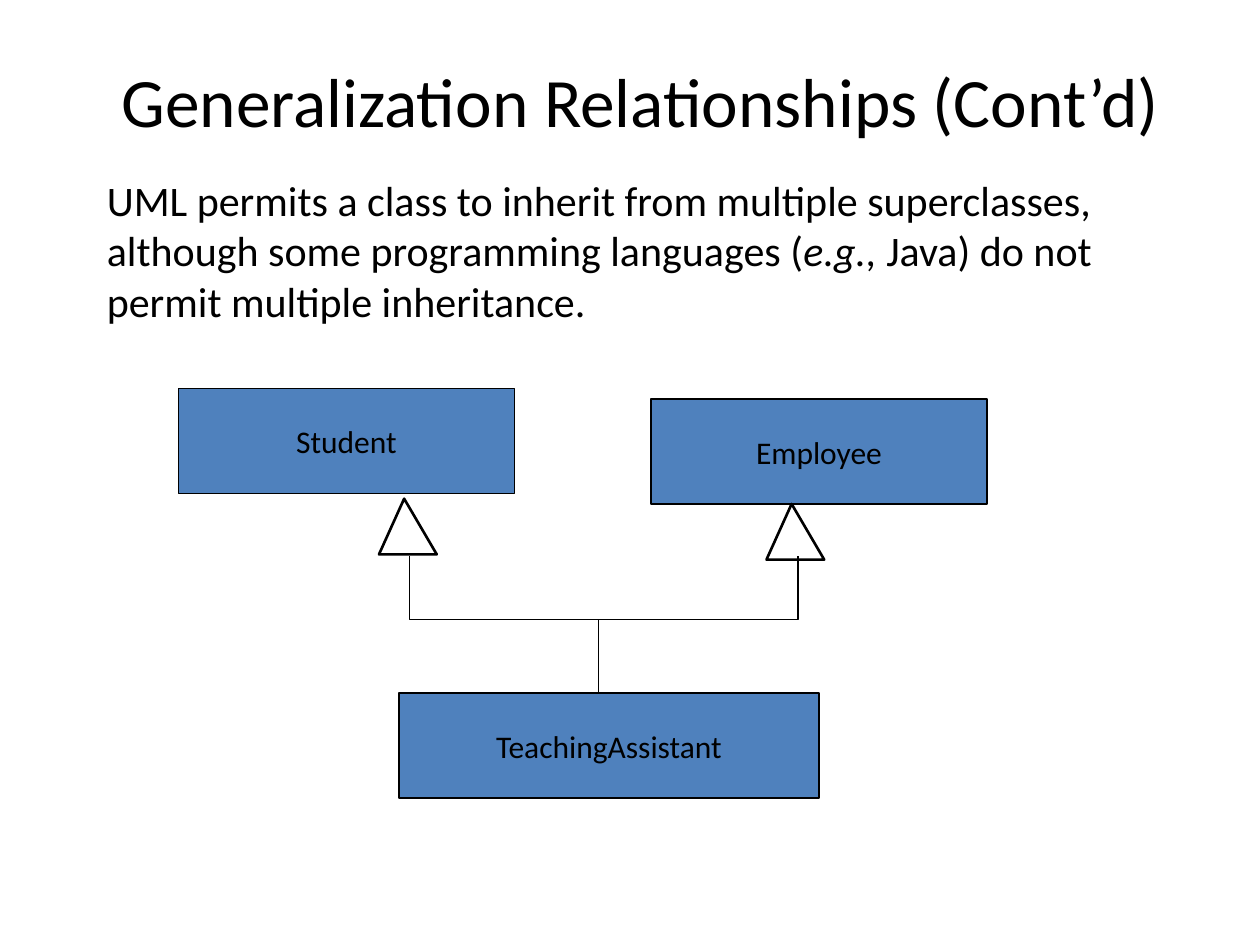
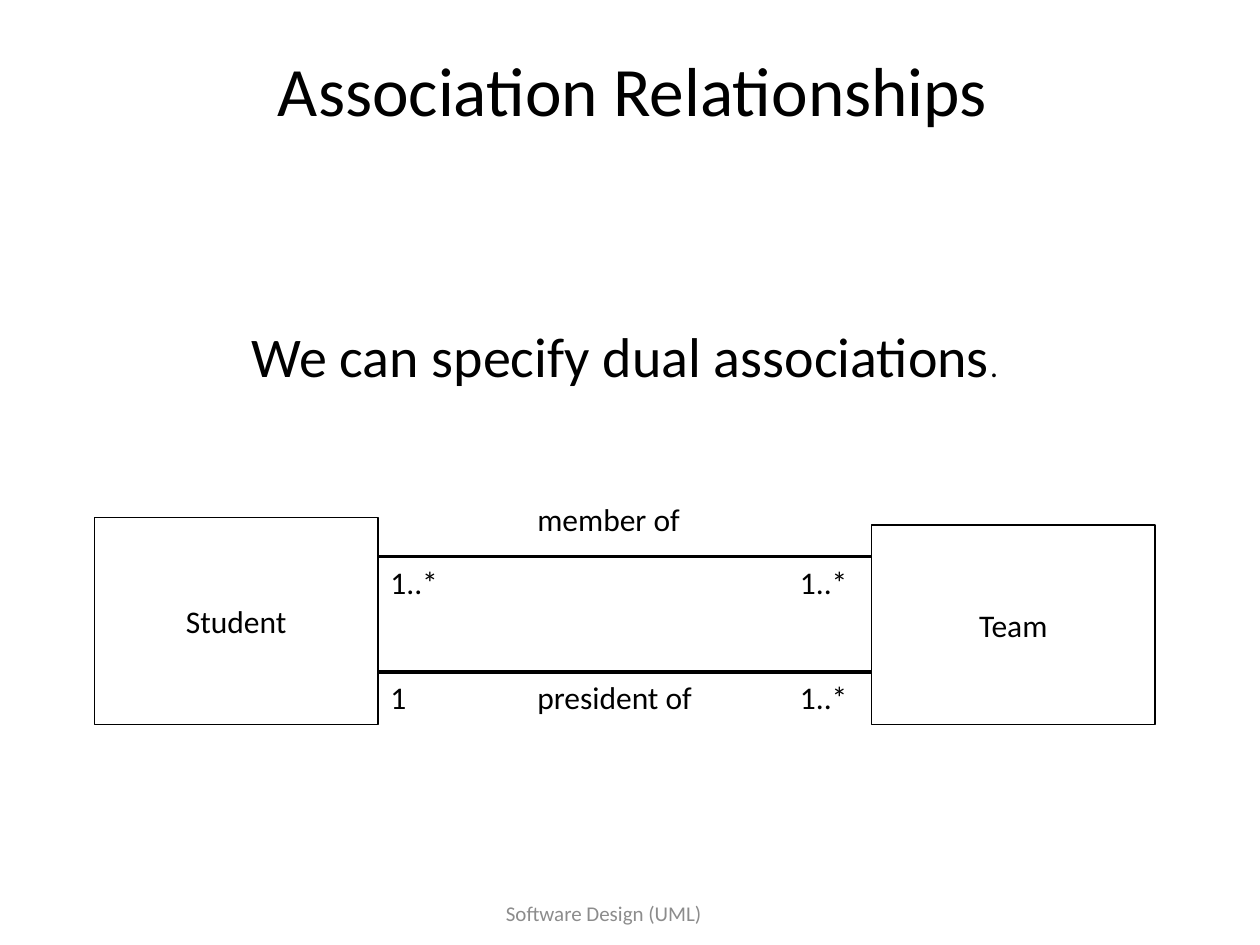
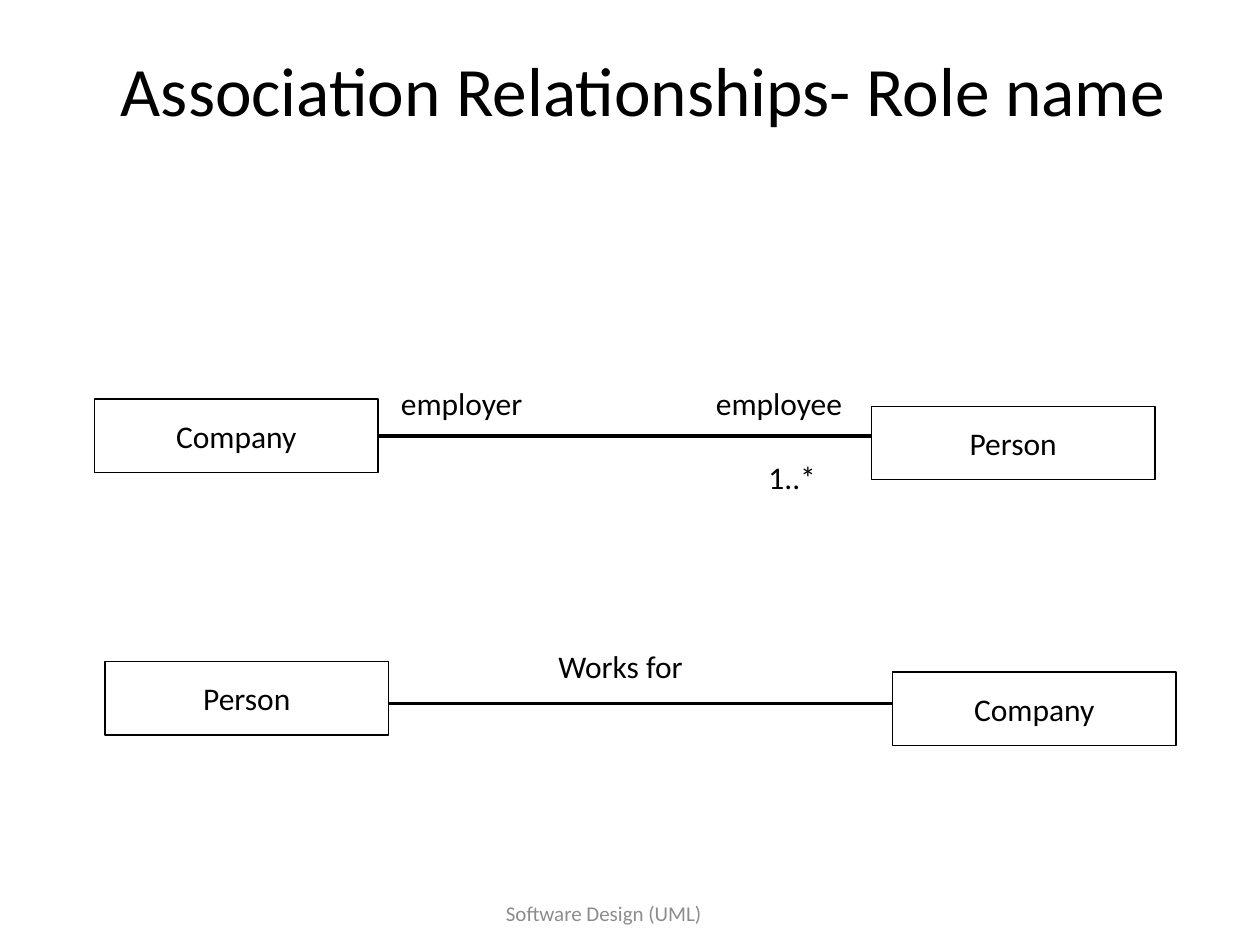
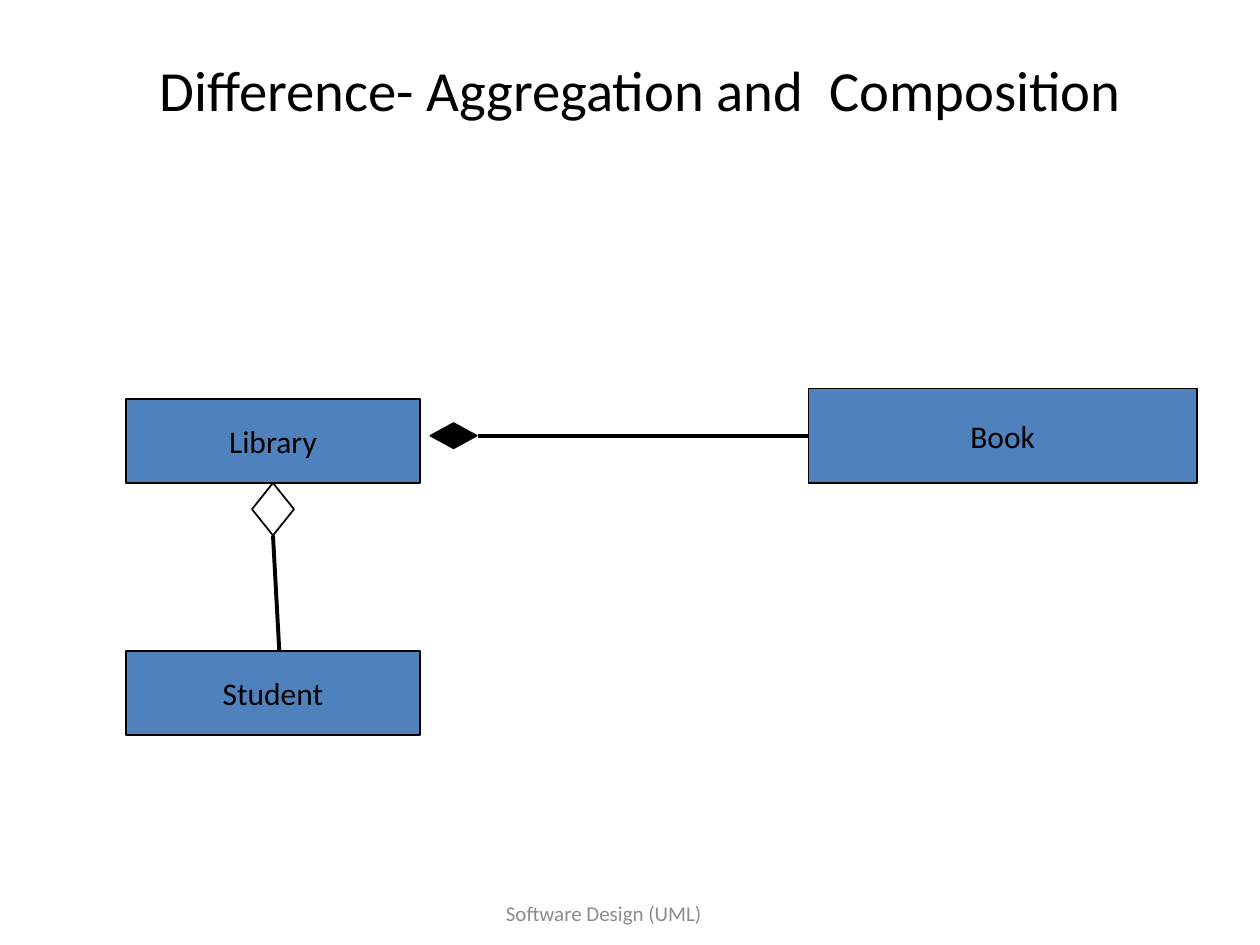
from lxml import etree
from pptx import Presentation
from pptx.dml.color import RGBColor
from pptx.enum.shapes import MSO_CONNECTOR, MSO_SHAPE
from pptx.enum.text import MSO_ANCHOR, MSO_AUTO_SIZE, PP_ALIGN
from pptx.oxml.ns import qn
from pptx.util import Emu, Pt

RECTANGLE, STRAIGHT = MSO_SHAPE.RECTANGLE, MSO_CONNECTOR.STRAIGHT
LEFT, CENTER = PP_ALIGN.LEFT, PP_ALIGN.CENTER
TOP, MIDDLE = MSO_ANCHOR.TOP, MSO_ANCHOR.MIDDLE
FIXED, GROW = MSO_AUTO_SIZE.NONE, MSO_AUTO_SIZE.SHAPE_TO_FIT_TEXT

# Shared look; 120 px to the inch
PX = 7620
SLIDE_SIZE = (1200, 900)
FONT = "Calibri"
BLACK, WHITE, BLUE, GREY = "000000", "FFFFFF", "4F81BD", "8C8C8C"
TITLE_SIZE, TEXT_SIZE, FOOTER_SIZE = 39.6, 18, 12
FOOTER = "Software Design (UML)"
FOOTER_AT = (310, 840, 530, 60)


# Outlines of the relationship ends
def triangle(x, y):
    """Generalization arrowhead with its apex at x, y."""
    return [(x, y), (x - 24, y + 53), (x + 31, y + 53)]


def diamond(x, y, half_width, half_height):
    """Aggregation or composition mark centred at x, y."""
    return [(x - half_width, y), (x, y - half_height),
            (x + half_width, y), (x, y + half_height)]


# Content. statement: runs (text, size, italic), place, alignment
# classes: name, place; labels: text, place
# links: from, to, width, (class, side) joined at from, at to
# outlines: points, fill (None leaves the path open), line width
SLIDES = [
    {
        "title": "Generalization Relationships (Cont’d)",
        "title_at": (0, 60, 1220, 70),
        "statement": (
            [("UML permits a class to inherit from multiple superclasses, "
              "although some programming languages (", 24, False),
             ("e.g.,", 24, True),
             (" Java) do not permit multiple inheritance.", 24, False)],
            (90, 160, 1070, 157), LEFT),
        "class_fill": BLUE,
        "classes": [("Student", (170, 370, 320, 100)),
                    ("TeachingAssistant", (380, 660, 400, 100)),
                    ("Employee", (620, 380, 320, 100))],
        "links": [((570, 590), (570, 660), 1, None, None)],
        "outlines": [
            (triangle(385, 475), WHITE, 1.5),
            (triangle(754, 480), WHITE, 1.5),
            ([(390, 530), (390, 590), (760, 590), (760, 530)], None, 1)],
    },
    {
        "title": "Association Relationships ",
        "title_at": (80, 50, 1060, 70),
        "footer": True,
        "statement": ([("We can specify dual associations", 32, False),
                       (".", 18, False)],
                      (80, 300, 1030, 77), CENTER),
        "class_fill": WHITE,
        "classes": [("Team", (830, 500, 270, 190)),
                    ("Student", (90, 493, 270, 197))],
        "links": [((360, y), (830, y), 2.25, None, None)
                  for y in (530, 640)],
        "labels": [("member of", (500, 470, 230, 60)),
                   ("1..*", (360, 530, 90, 60)),
                   ("1..*", (750, 530, 90, 60)),
                   ("president of", (500, 640, 230, 60)),
                   ("1", (360, 640, 50, 48)),
                   ("1..*", (750, 640, 90, 60))],
    },
    {
        "title": "Association Relationships- Role name ",
        "title_at": (80, 50, 1080, 70),
        "footer": True,
        "class_fill": WHITE,
        "classes": [("Person", (830, 387, 270, 70)),
                    ("Company", (90, 380, 270, 70)),
                    ("Person", (100, 630, 270, 70)),
                    ("Company", (850, 640, 270, 70))],
        "links": [((360, 415), (830, 415), 2.25, (1, 3), None),
                  ((370, 670), (850, 670), 2.25, None, None)],
        "labels": [("1..*", (720, 430, 90, 48)),
                   ("employer", (370, 360, 150, 48)),
                   ("employee", (670, 360, 150, 48)),
                   ("Works for", (520, 610, 150, 48))],
    },
    {
        "title": "Difference- Aggregation and  Composition",
        "title_at": (80, 50, 1060, 70),
        "title_size": 32.4,
        "footer": True,
        "class_fill": BLUE,
        "classes": [("Library", (120, 380, 280, 80)),
                    ("Book", (770, 370, 370, 90)),
                    ("Student", (120, 620, 280, 80))],
        "links": [((455, 415), (770, 415), 2.25, None, (1, 1)),
                  ((266, 620), (260, 510), 2.25, None, None)],
        "outlines": [(diamond(432, 415, 22, 12), BLACK, 1),
                     (diamond(260, 485, 20, 25), WHITE, 1)],
    },
]


def px(lengths):
    return [Emu(length * PX) for length in lengths]


def color(hex_value):
    return RGBColor.from_string(hex_value)


def write(frame, runs, align=CENTER, anchor=MIDDLE, wrap=True,
          fit=FIXED, ink=BLACK):
    frame.word_wrap = wrap
    frame.auto_size = fit
    frame.vertical_anchor = anchor
    paragraph = frame.paragraphs[0]
    paragraph.alignment = align
    for text, size, italic in runs:
        run = paragraph.add_run()
        run.text = text
        run.font.name = FONT
        run.font.size = Pt(size)
        run.font.italic = italic
        run.font.color.rgb = color(ink)


def add_text(slide, at, runs, **style):
    write(slide.shapes.add_textbox(*px(at)).text_frame, runs, **style)


def paint(shape, fill, line_width):
    shape.shadow.inherit = False
    if fill is None:
        shape.fill.background()
    else:
        shape.fill.solid()
        shape.fill.fore_color.rgb = color(fill)
    shape.line.color.rgb = color(BLACK)
    shape.line.width = Pt(line_width)


def add_class(slide, name, at, fill):
    box = slide.shapes.add_shape(RECTANGLE, *px(at))
    paint(box, fill, 0.75)
    write(box.text_frame, [(name, TEXT_SIZE, False)], wrap=False)
    return box


def add_link(slide, start, end, width, boxes, start_join, end_join):
    link = slide.shapes.add_connector(STRAIGHT, *px(start + end))
    link.line.color.rgb = color(BLACK)
    link.line.width = Pt(width)
    etree.SubElement(link._element.spPr, qn("a:effectLst"))
    for connect, join in ((link.begin_connect, start_join),
                          (link.end_connect, end_join)):
        if join:
            connect(boxes[join[0]], join[1])


def add_outline(slide, points, fill, width):
    builder = slide.shapes.build_freeform(*points[0], scale=PX)
    builder.add_line_segments(points[1:], close=fill is not None)
    paint(builder.convert_to_shape(), fill, width)


def add_slide(deck, content):
    slide = deck.slides.add_slide(deck.slide_layouts[5])
    # Title and footer
    title = slide.shapes.title
    title.left, title.top, title.width, title.height = px(content["title_at"])
    write(title.text_frame,
          [(content["title"], content.get("title_size", TITLE_SIZE), False)])
    if content.get("footer"):
        add_text(slide, FOOTER_AT, [(FOOTER, FOOTER_SIZE, False)], ink=GREY)
    # Statement
    if "statement" in content:
        runs, at, align = content["statement"]
        add_text(slide, at, runs, align=align, anchor=TOP, fit=GROW)
    # Class diagram
    boxes = [add_class(slide, name, at, content["class_fill"])
             for name, at in content["classes"]]
    for start, end, width, start_join, end_join in content["links"]:
        add_link(slide, start, end, width, boxes, start_join, end_join)
    for points, fill, width in content.get("outlines", []):
        add_outline(slide, points, fill, width)
    for label, at in content.get("labels", []):
        add_text(slide, at, [(label, TEXT_SIZE, False)],
                 align=LEFT, anchor=TOP, fit=GROW)


def main():
    deck = Presentation()
    deck.slide_width, deck.slide_height = px(SLIDE_SIZE)
    for content in SLIDES:
        add_slide(deck, content)
    deck.save("out.pptx")


if __name__ == "__main__":
    main()
